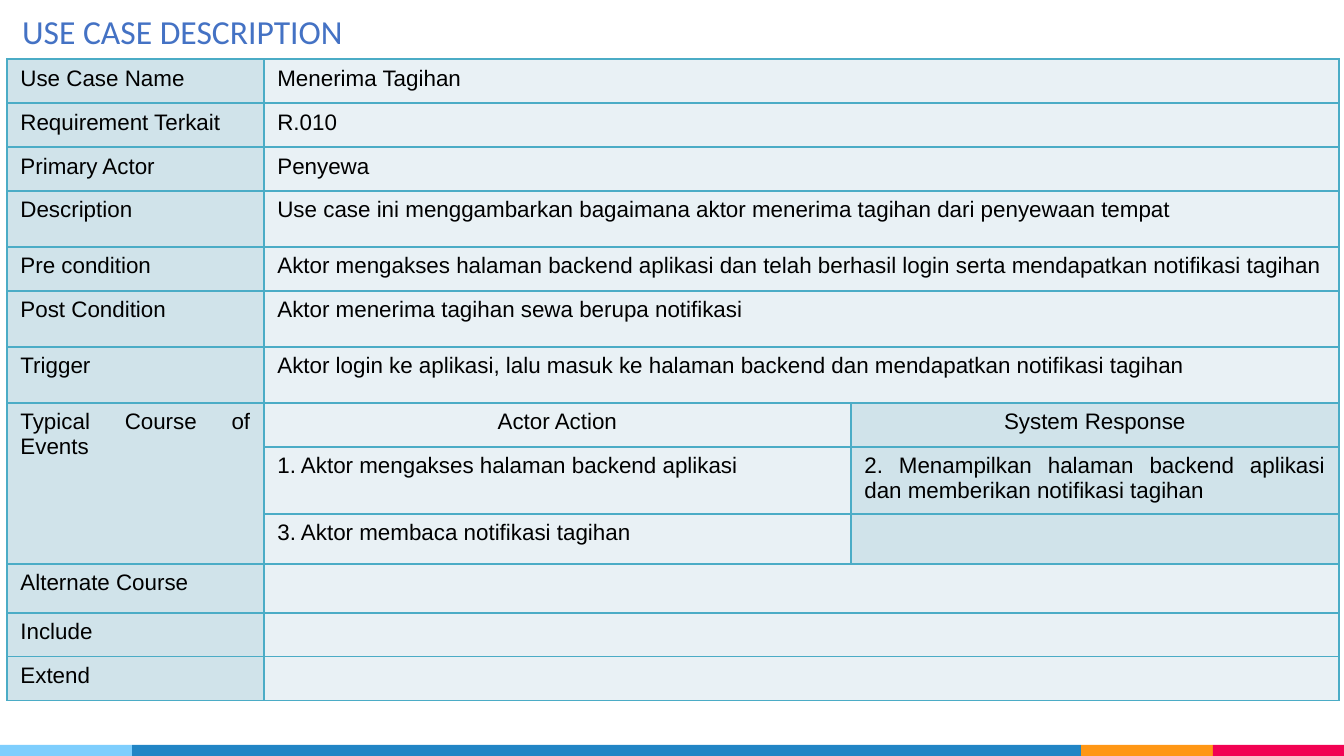
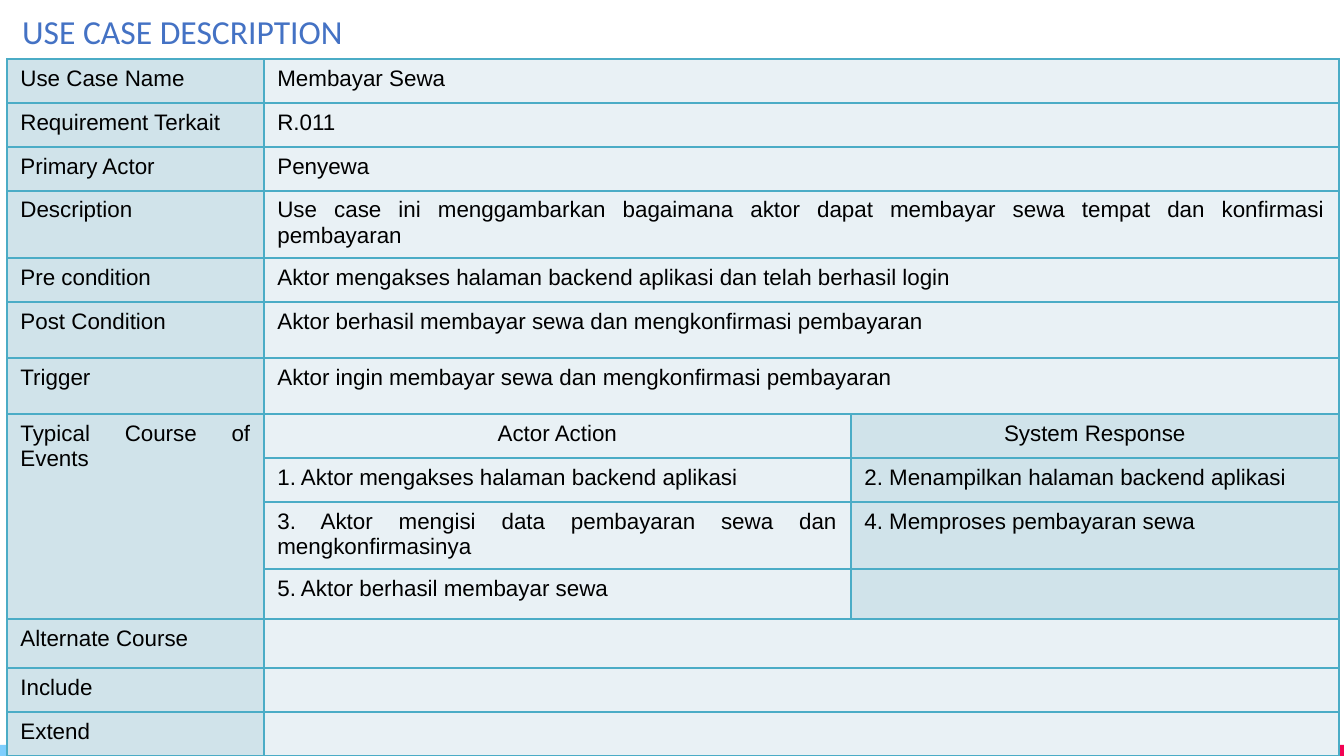
from dataclasses import dataclass
from typing import NamedTuple

from lxml import etree
from pptx import Presentation
from pptx import util as u
from pptx.dml.color import RGBColor
from pptx.enum import shapes, text
from pptx.oxml import ns

PX_PER_INCH = 134.4
SLIDE_WIDTH, SLIDE_HEIGHT = 1344, 756

LABEL_FILL = "D0E3EA"
VALUE_FILL = "E9F1F5"
BORDER = "4BACC6"
BLACK = "000000"
TITLE_BLUE = "4472C4"

BAND_TOP = 745
TABLE_LEFT, TABLE_TOP = 7, 59
COLUMN_WIDTHS = (257, 587, 488)
CELL_SIZE = u.Pt(12)
ROW, TALL_ROW = 44, 56

Alignment = text.PP_ALIGN


class Band(NamedTuple):
    left: int
    right: int
    color: str


class Field(NamedTuple):
    label: str
    value: str = ""
    height: int = ROW


class Event(NamedTuple):
    action: str
    response: str = ""
    height: int = ROW


@dataclass(frozen=True)
class UseCase:
    name: str
    requirement: str
    description: str
    precondition: str
    postcondition: str
    trigger: str
    events: tuple[Event, ...]

    def fields(self) -> list[Field]:
        return [
            Field("Use Case Name", self.name),
            Field("Requirement Terkait", self.requirement),
            Field("Primary Actor", "Penyewa"),
            Field("Description", self.description, TALL_ROW),
            Field("Pre condition", self.precondition),
            Field("Post Condition", self.postcondition, TALL_ROW),
            Field("Trigger", self.trigger, TALL_ROW),
        ]


BANDS = (
    Band(0, 132, "7ECEFD"),
    Band(132, 1081, "2185C5"),
    Band(1081, 1213, "FF9715"),
    Band(1213, SLIDE_WIDTH, "F20253"),
)

EVENT_HEADER = Event("Actor Action", "System Response")
CLOSING_FIELDS = [Field("Alternate Course", height=49), Field("Include"), Field("Extend")]

USE_CASES = (
    UseCase(
        name="Menerima Tagihan",
        requirement="R.010",
        description="Use case ini menggambarkan bagaimana aktor menerima tagihan "
                    "dari penyewaan tempat",
        precondition="Aktor mengakses halaman backend aplikasi dan telah berhasil "
                     "login serta mendapatkan notifikasi tagihan",
        postcondition="Aktor menerima tagihan sewa berupa notifikasi",
        trigger="Aktor login ke aplikasi, lalu masuk ke halaman backend dan "
                "mendapatkan notifikasi tagihan",
        events=(
            Event("1. Aktor mengakses halaman backend aplikasi",
                  "2. Menampilkan halaman backend aplikasi dan memberikan "
                  "notifikasi tagihan", 67),
            Event("3. Aktor membaca notifikasi tagihan", height=50),
        ),
    ),
    UseCase(
        name="Membayar Sewa",
        requirement="R.011",
        description="Use case ini menggambarkan bagaimana aktor dapat membayar "
                    "sewa tempat dan konfirmasi pembayaran",
        precondition="Aktor mengakses halaman backend aplikasi dan telah berhasil login",
        postcondition="Aktor berhasil membayar sewa dan mengkonfirmasi pembayaran",
        trigger="Aktor ingin membayar sewa dan mengkonfirmasi pembayaran",
        events=(
            Event("1. Aktor mengakses halaman backend aplikasi",
                  "2. Menampilkan halaman backend aplikasi"),
            Event("3. Aktor mengisi data pembayaran sewa dan mengkonfirmasinya",
                  "4. Memproses pembayaran sewa", 50),
            Event("5. Aktor berhasil membayar sewa", height=50),
        ),
    ),
)


def px(length: int) -> u.Emu:
    return u.Emu(round(length * u.Inches(1) / PX_PER_INCH))


def rgb(color: str) -> RGBColor:
    return RGBColor.from_string(color)


def style_paragraph(paragraph, font_name: str, size: u.Pt, color: str, alignment) -> None:
    paragraph.alignment = alignment
    paragraph.font.name = font_name
    paragraph.font.size = size
    paragraph.font.color.rgb = rgb(color)


def draw_bands(slide) -> None:
    for band in BANDS:
        shape = slide.shapes.add_shape(
            shapes.MSO_SHAPE.RECTANGLE, px(band.left), px(BAND_TOP),
            px(band.right - band.left), px(SLIDE_HEIGHT - BAND_TOP))
        shape.shadow.inherit = False
        shape.fill.solid()
        shape.fill.fore_color.rgb = rgb(band.color)
        shape.line.fill.background()


def draw_title(slide) -> None:
    box = slide.shapes.add_textbox(px(9), px(4), px(347), px(54))
    frame = box.text_frame
    frame.word_wrap = False
    frame.auto_size = text.MSO_AUTO_SIZE.SHAPE_TO_FIT_TEXT
    frame.text = "USE CASE DESCRIPTION"
    style_paragraph(frame.paragraphs[0], "Calibri", u.Pt(18), TITLE_BLUE, Alignment.CENTER)


def add_borders(cell) -> None:
    properties = cell._tc.get_or_add_tcPr()
    for side in ("L", "R", "T", "B"):
        line = etree.SubElement(properties, ns.qn(f"a:ln{side}"), w=str(u.Pt(1)))
        fill = etree.SubElement(line, ns.qn("a:solidFill"))
        etree.SubElement(fill, ns.qn("a:srgbClr"), val=BORDER)


def fill_cell(cell, content: str, color: str, alignment) -> None:
    add_borders(cell)
    cell.fill.solid()
    cell.fill.fore_color.rgb = rgb(color)
    cell.text = content
    paragraph = cell.text_frame.paragraphs[0]
    style_paragraph(paragraph, "Arial", CELL_SIZE, BLACK, alignment)
    if not content:  # keeps an empty line from stretching its row
        etree.SubElement(paragraph._p, ns.qn("a:endParaRPr"),
                         sz=str(int(CELL_SIZE.pt * 100)))


def draw_use_case(slide, use_case: UseCase) -> None:
    opening = use_case.fields()
    events = [EVENT_HEADER, *use_case.events]
    rows = [*opening, *events, *CLOSING_FIELDS]
    table = slide.shapes.add_table(
        len(rows), len(COLUMN_WIDTHS), px(TABLE_LEFT), px(TABLE_TOP),
        px(sum(COLUMN_WIDTHS)), px(sum(row.height for row in rows))).table
    table.first_row = table.horz_banding = False
    for column, width in zip(table.columns, COLUMN_WIDTHS):
        column.width = px(width)

    first_event = len(opening)
    for index, row in enumerate(rows):
        table.rows[index].height = px(row.height)
        if isinstance(row, Event):
            label = "Typical Course of Events" if index == first_event else ""
            contents = (label, row.action, row.response)
            fills = (LABEL_FILL, VALUE_FILL, LABEL_FILL)
        else:
            contents = (row.label, row.value, "")
            fills = (LABEL_FILL, VALUE_FILL, VALUE_FILL)
        for column, (content, color) in enumerate(zip(contents, fills)):
            centered = row is EVENT_HEADER and column > 0
            fill_cell(table.cell(index, column), content, color,
                      Alignment.CENTER if centered else Alignment.JUSTIFY)
        if isinstance(row, Field):
            table.cell(index, 1).merge(table.cell(index, 2))
    table.cell(first_event, 0).merge(table.cell(first_event + len(events) - 1, 0))


def main() -> None:
    presentation = Presentation()
    presentation.slide_width = px(SLIDE_WIDTH)
    presentation.slide_height = px(SLIDE_HEIGHT)
    blank_layout = presentation.slide_layouts[6]
    for use_case in USE_CASES:
        slide = presentation.slides.add_slide(blank_layout)
        draw_bands(slide)
        draw_use_case(slide, use_case)
        draw_title(slide)
    presentation.save("out.pptx")


if __name__ == "__main__":
    main()
